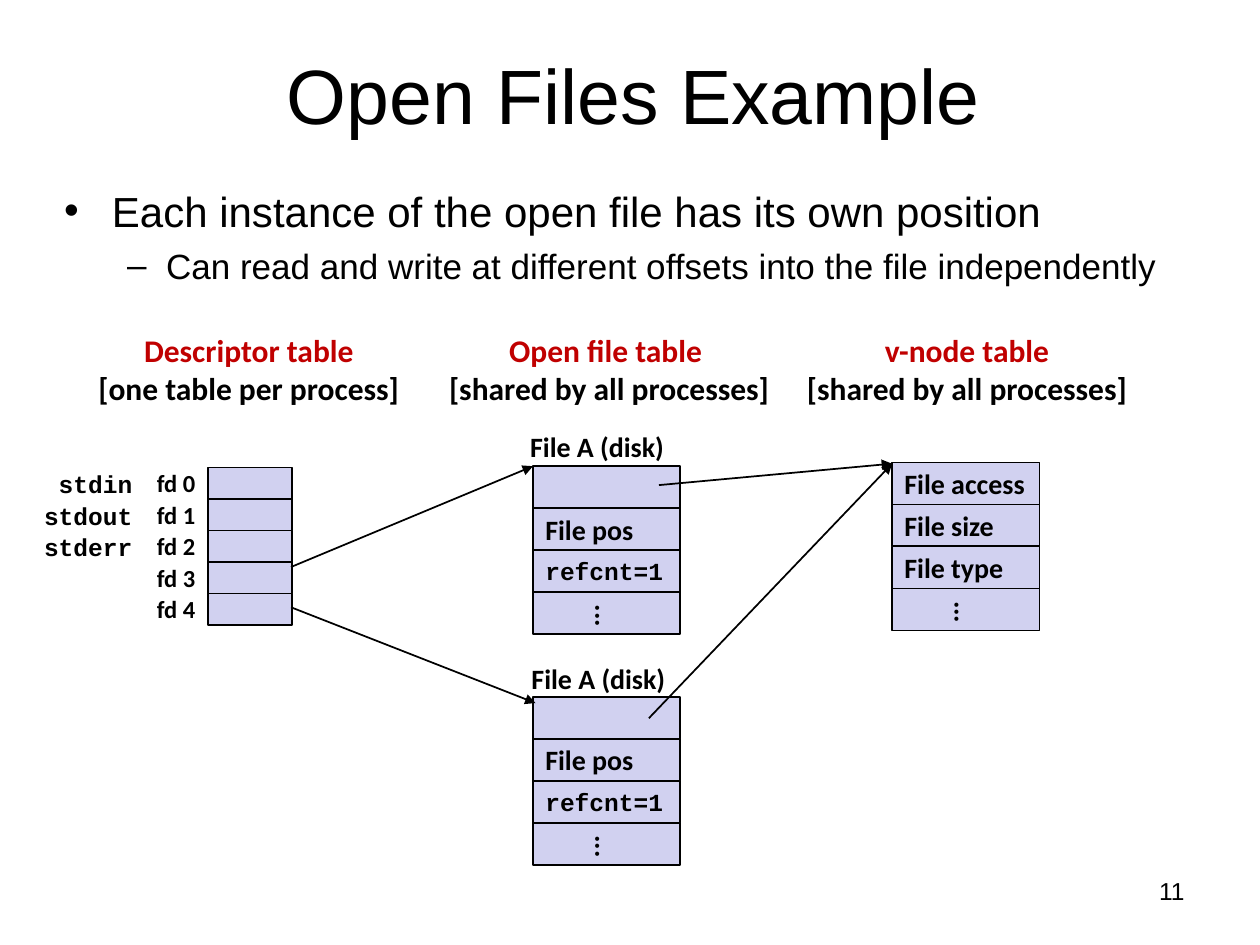
"""Build the slide on open files: descriptor, open file and v-node tables."""
from lxml import etree
from pptx import Presentation
from pptx.dml.color import RGBColor
from pptx.enum import shapes, text
from pptx.oxml.ns import qn
from pptx.util import Inches, Pt

BLACK, RED, LILAC = "000000", "C00000", "D1D1F0"
LEFT, CENTER, RIGHT = text.PP_ALIGN.LEFT, text.PP_ALIGN.CENTER, text.PP_ALIGN.RIGHT
TOP, MIDDLE = text.MSO_ANCHOR.TOP, text.MSO_ANCHOR.MIDDLE
NO_FIT, GROW = text.MSO_AUTO_SIZE.NONE, text.MSO_AUTO_SIZE.SHAPE_TO_FIT_TEXT


def rgb(code):
    return RGBColor.from_string(code)


def write(shape, content, size=16, font="Calibri", color=BLACK, bold=True,
          align=LEFT, anchor=MIDDLE, wrap=False, fit=NO_FIT,
          bullet=None, margin=0, hanging=0, before=0):
    frame = shape.text_frame
    frame.word_wrap, frame.auto_size, frame.vertical_anchor = wrap, fit, anchor
    paragraph = frame.add_paragraph() if frame.text else frame.paragraphs[0]
    paragraph.alignment = align
    if before:
        paragraph.space_before = Pt(before)
    if bullet:
        props = paragraph._p.get_or_add_pPr()
        props.set("marL", str(Inches(margin)))
        props.set("indent", str(-Inches(hanging)))
        etree.SubElement(props, qn("a:buFont")).set("typeface", "Arial")
        etree.SubElement(props, qn("a:buChar")).set("char", bullet)
    run = paragraph.add_run()
    run.text = content
    run.font.size, run.font.name, run.font.bold = Pt(size), font, bold
    run.font.color.rgb = rgb(color)


deck = Presentation()
deck.slide_width, deck.slide_height = Inches(10), Inches(7.5)
slide = deck.slides.add_slide(deck.slide_layouts[6])
items = slide.shapes

title = items.add_textbox(Inches(0.39), Inches(0.33), Inches(9.28), Inches(0.83))
write(title, "Open Files Example", size=44, font="Arial", bold=False, align=CENTER, wrap=True)

points = items.add_textbox(Inches(0.41), Inches(1.42), Inches(9.09), Inches(1.33))
write(points, "Each instance of the open file has its own position", size=24, font="Arial",
      bold=False, anchor=TOP, wrap=True, bullet="•", margin=0.38, hanging=0.38)
write(points, "Can read and write at different offsets into the file independently", size=20,
      font="Arial", bold=False, anchor=TOP, wrap=True,
      bullet="–", margin=0.81, hanging=0.31, before=5)

page = items.add_textbox(Inches(7.17), Inches(6.9), Inches(2.33), Inches(0.52))
write(page, "11", size=14, font="Arial", bold=False, align=RIGHT, anchor=TOP, wrap=True)

headings = [
    (0.68, 2.59, "Descriptor table", "[one table per process]"),
    (3.46, 2.75, "Open file table ", "[shared by all processes]"),
    (6.3, 2.75, "v-node table", "[shared by all processes]"),
]
for left, width, name, scope in headings:
    heading = items.add_textbox(Inches(left), Inches(2.58), Inches(width), Inches(0.7))
    write(heading, name, size=18, color=RED, align=CENTER, fit=GROW)
    write(heading, scope, size=18, align=CENTER, fit=GROW)

open_file = ["", "File pos", "refcnt=1", "..."]
tables = [
    (1.65, 3.71, 0.67, 0.25, [""] * 5),
    (4.23, 3.7, 1.17, 1 / 3, open_file),
    (4.23, 5.53, 1.17, 1 / 3, open_file),
    (7.08, 3.67, 1.17, 1 / 3, ["File access", "File size", "File type", "..."]),
]
for left, top, width, height, fields in tables:
    for row, field in enumerate(fields):
        cell = items.add_shape(shapes.MSO_SHAPE.RECTANGLE, Inches(left),
                               Inches(top + row * height), Inches(width), Inches(height))
        cell.shadow.inherit = False
        cell.fill.solid()
        cell.fill.fore_color.rgb = rgb(LILAC)
        cell.line.color.rgb = rgb(BLACK)
        cell.line.width = Pt(1)
        if field == "refcnt=1":
            write(cell, field, size=14, font="Courier New")
        elif field:
            write(cell, field)
        if field == "...":
            frame = cell.text_frame
            frame.margin_left = frame.margin_right = Inches(0.05)
            frame.margin_top = frame.margin_bottom = Inches(0.1)
            cell.element.txBody.bodyPr.set("vert", "eaVert")

for number in range(5):
    descriptor = items.add_textbox(Inches(0.98), Inches(3.71 + number * 0.25),
                                   Inches(0.67), Inches(0.25))
    write(descriptor, f"fd {number}", size=14, align=RIGHT)

for row, name in enumerate(["stdin", "stdout", "stderr"]):
    stream = items.add_textbox(Inches(0.25), Inches(3.67 + row * 0.25),
                               Inches(0.9), Inches(0.34))
    write(stream, name, size=14, font="Courier New", align=RIGHT)

for left, top in [(4.11, 3.36), (4.12, 5.2)]:
    file_name = items.add_textbox(Inches(left), Inches(top), Inches(1.26), Inches(0.37))
    write(file_name, "File A (disk)", fit=GROW)

references = [
    (2.31, 4.5, 4.23, 3.7),
    (2.31, 4.82, 4.25, 5.58),
    (5.23, 3.85, 7.08, 3.68),
    (5.15, 5.7, 7.08, 3.68),
]
for ends in references:
    arrow = items.add_connector(shapes.MSO_CONNECTOR.STRAIGHT, *map(Inches, ends))
    arrow.line.color.rgb = rgb(BLACK)
    arrow.line.width = Pt(1)
    etree.SubElement(arrow.line._get_or_add_ln(), qn("a:tailEnd")).set("type", "triangle")
    etree.SubElement(arrow.element.spPr, qn("a:effectLst"))

deck.save("out.pptx")
